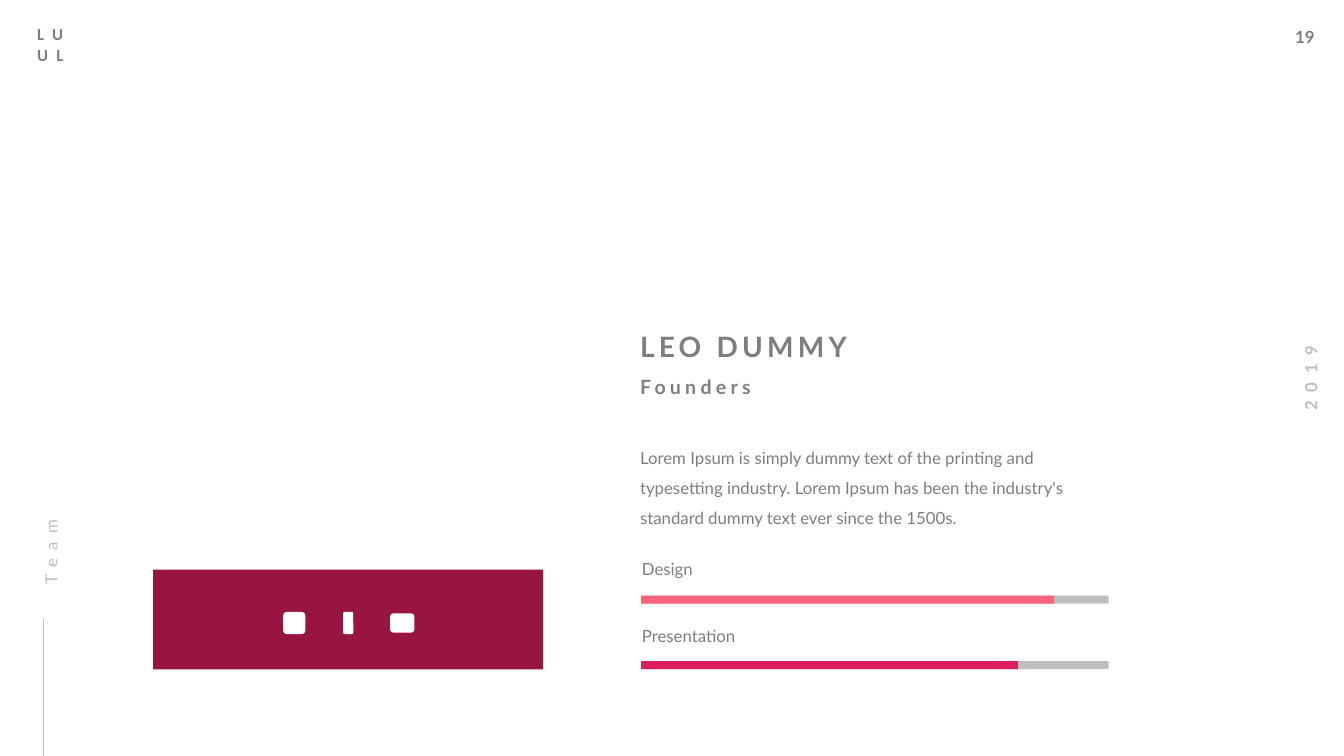
from dataclasses import dataclass

from lxml.etree import SubElement
from pptx import Presentation
from pptx.dml.color import RGBColor
from pptx.enum.shapes import MSO_CONNECTOR, MSO_SHAPE
from pptx.enum.text import MSO_AUTO_SIZE, PP_ALIGN
from pptx.oxml.ns import qn
from pptx.util import Pt


@dataclass(frozen=True)
class Theme:
    text: str = "7E7E7E"
    subtitle: str = "808080"
    pale: str = "BFBFBF"
    card: str = "981441"
    white: str = "FFFFFF"
    design: str = "FF627F"
    presentation: str = "DC1E60"
    font: str = "Lato"
    mark_font: str = "Calibri"
    name_size: float = 20
    role_size: float = 14
    body_size: float = 12


@dataclass(frozen=True)
class Box:
    left: float
    top: float
    width: float
    height: float

    def inner(self, left, top, width, height):
        """Return a box whose position is given from this box's corner."""
        return Box(self.left + left, self.top + top, width, height)

    def lengths(self):
        return Pt(self.left), Pt(self.top), Pt(self.width), Pt(self.height)


THEME = Theme()


def add_text(slide, box, text, size=THEME.body_size, color=THEME.text, font=THEME.font,
             bold=False, tracking=0, line_spacing=None, before=None, flush=False,
             wrap=True, align=None, rotation=0):
    """Add a text box; flush removes every inset but the right one."""
    shape = slide.shapes.add_textbox(*box.lengths())
    shape.rotation = rotation
    frame = shape.text_frame
    frame.word_wrap = wrap
    frame.auto_size = MSO_AUTO_SIZE.SHAPE_TO_FIT_TEXT
    if flush:
        frame.margin_left = frame.margin_top = frame.margin_bottom = 0
    frame.text = text
    for paragraph in frame.paragraphs:
        paragraph.alignment = align
        paragraph.line_spacing = line_spacing
        if before is not None:
            paragraph.space_before = Pt(before)
        for run in paragraph.runs:
            run.font.name = font
            run.font.size = Pt(size)
            run.font.bold = bold
            run.font.color.rgb = RGBColor.from_string(color)
            if tracking:
                run.font._element.set("spc", str(tracking * 100))


def add_block(slide, box, color, kind=MSO_SHAPE.RECTANGLE):
    shape = slide.shapes.add_shape(kind, *box.lengths())
    shape.shadow.inherit = False
    shape.fill.solid()
    shape.fill.fore_color.rgb = RGBColor.from_string(color)
    shape.line.fill.background()


def add_page_frame(slide, page):
    """Add the corner mark, page number and year along the page edges."""
    add_text(slide, page.inner(918, 15.84, 29.52, 21.6), "19", bold=True, wrap=False)
    add_text(slide, page.inner(902.88, 259.2, 66.96, 21.6), "2019", color=THEME.pale,
             bold=True, tracking=6, wrap=False, align=PP_ALIGN.CENTER, rotation=270)
    add_text(slide, page.inner(19.44, 13.68, 42.48, 36), "LU\nUL", font=THEME.mark_font,
             bold=True, tracking=6)


def add_section_label(slide, box):
    """Add the upright section name above a line that runs to the box's foot."""
    x, foot = Pt(box.left + 30.96), Pt(box.top + box.height)
    line = slide.shapes.add_connector(MSO_CONNECTOR.STRAIGHT, x, foot, x, foot - Pt(97.92))
    line.line.color.rgb = RGBColor.from_string(THEME.pale)
    line.line.width = Pt(0.5)
    SubElement(line._element.spPr, qn("a:effectLst"))
    add_text(slide, box.inner(-35.28, 0, 133.2, 18.72), "Team", color=THEME.pale,
             tracking=6, line_spacing=1.5, before=12, flush=True, rotation=270)


def add_social_card(slide, box):
    add_block(slide, box, THEME.card)
    pitch = 38.6
    for index, (width, height) in enumerate([(15.84, 15.84), (7.2, 15.84), (17.28, 13.68)]):
        center = box.width / 2 + (index - 1) * pitch
        add_block(slide, box.inner(center - width / 2, 38.2 - height / 2, width, height),
                  THEME.white, MSO_SHAPE.ROUNDED_RECTANGLE)


def add_skill(slide, box, label, label_rise, filled_width, color):
    """Add a skill bar in the box, with its label the given rise above it."""
    add_block(slide, box, THEME.pale)
    add_text(slide, box.inner(-6.48, -label_rise, 172.08, 21.6), label)
    add_block(slide, box.inner(0, 0, filled_width, box.height), color)


def add_profile(slide, box):
    add_text(slide, box.inner(0, 0, 252, 24.48), "LEO DUMMY", size=THEME.name_size,
             bold=True, tracking=3, before=12, flush=True)
    add_text(slide, box.inner(0, 32.4, 151.92, 17.28), "Founders", size=THEME.role_size,
             color=THEME.subtitle, bold=True, tracking=3, before=12, flush=True)
    add_text(slide, box.inner(0, 77.04, 316.08, 62.64),
             "Lorem Ipsum is simply dummy text of the printing and typesetting industry. "
             "Lorem Ipsum has been the industry's standard dummy text ever since the 1500s.",
             line_spacing=1.5, before=12, flush=True)
    skills = [("Design", 30.24, 295.2, THEME.design),
              ("Presentation", 28.8, 269.28, THEME.presentation)]
    for index, skill in enumerate(skills):
        add_skill(slide, box.inner(0.72, 190.08 + index * 46.8, box.width - 0.72, 5.76), *skill)


def main():
    presentation = Presentation()
    presentation.slide_width, presentation.slide_height = Pt(960), Pt(540)
    slide = presentation.slides.add_slide(presentation.slide_layouts[6])
    add_page_frame(slide, Box(0, 0, 960, 540))
    add_section_label(slide, Box(0, 341.28, 62, 198.72))
    add_social_card(slide, Box(109.44, 406.8, 278.64, 71.28))
    add_profile(slide, Box(457.2, 235.44, 334.8, 242.64))
    presentation.save("out.pptx")


if __name__ == "__main__":
    main()
